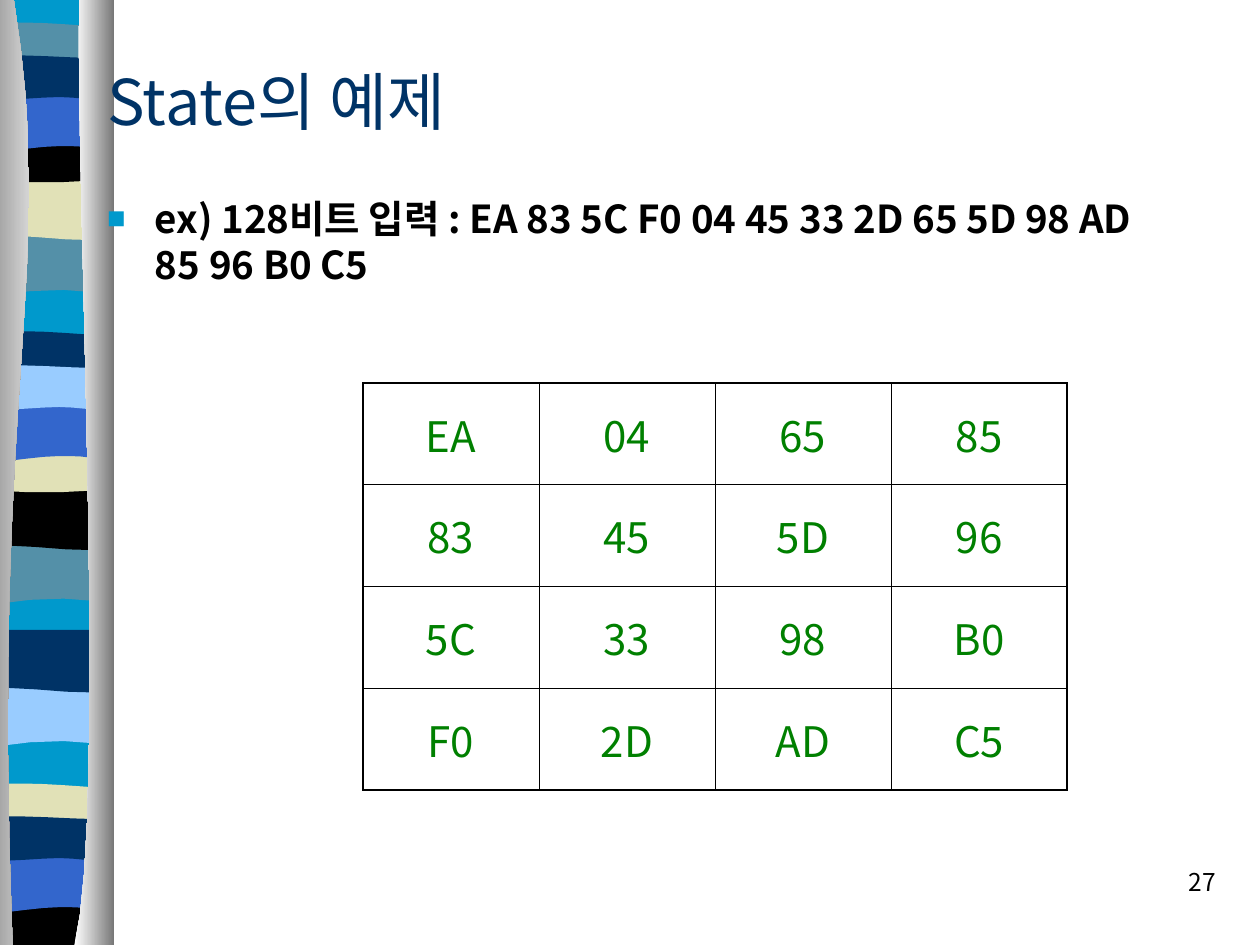
from lxml import etree
from pptx import Presentation
from pptx import util as u
from pptx.dml.color import RGBColor
from pptx.enum import text
from pptx.oxml import ns

WIDTH, HEIGHT = 10, 7.5
FONT = "Noto Sans CJK KR"
CYAN = RGBColor(0x00, 0x99, 0xCC)
TEAL = RGBColor(0x54, 0x90, 0xA8)
SAND = RGBColor(0xE1, 0xE1, 0xB7)
BLACK = RGBColor(0x00, 0x00, 0x00)
BLUE = RGBColor(0x33, 0x66, 0xCC)
NAVY = RGBColor(0x00, 0x33, 0x66)
SKY = RGBColor(0x99, 0xCC, 0xFF)
GREEN = RGBColor(0x00, 0x80, 0x00)
GREY = RGBColor(0x76, 0x76, 0x76)
PALE = RGBColor(0xD4, 0xD4, 0xD4)
WHITE = RGBColor(0xFF, 0xFF, 0xFF)

# Outlines: pairs are corners, six numbers are a cubic curve.
# Band outlines are measured from the band's upper right corner level.
L, R = -0.19, 0.89
SHEET = [(R, 0), (R, 7.48), (L, 7.48), (L, 0)]
DIP = [(R, 0), (R, 0.47), (0.14, 0.38, -0.01, 0.54, L, 0.47), (L, 0)]
SLOPE = [(R, 0), (R, 0.47), (0.71, 0.55, 0.14, 0.42, L, 0.47), (L, 0)]
CREST = [(R, 0), (R, 0.24), (0.71, 0.28, -0.01, 0.28, L, 0.24), (L, 0),
         (-0.13, -0.05, 0.04, -0.04, 0.22, -0.04), (0.4, -0.04, 0.75, -0.01, R, 0)]
BOWL = [(R, 0), (R, 0.33), (0.71, 0.38, -0.01, 0.38, L, 0.33), (L, 0),
        (0.47, 0.05, 0.66, 0, R, 0)]
FOOT = [(R, 0), (R, 0.38), (L, 0.38), (L, 0), (0.47, 0.05, 0.66, 0, R, 0)]
ARCH = [(R, 0), (R, 0.47), (0.72, 0.41, 0.65, 0.41, 0.47, 0.41),
        (0.29, 0.41, -0.03, 0.47, L, 0.47), (L, 0)]
SWELL = [(R, 0), (R, 0.31), (0.82, 0.36, 0.65, 0.31, 0.47, 0.31),
         (0.29, 0.31, -0.08, 0.36, L, 0.31), (L, 0), (-0.04, -0.05, 0.54, 0, 0.72, 0)]
LEFT_SHADE = [(0.11, 0), (0.46, 2.17, -0.08, 2.96, 0.1, 7.5), (-0.24, 7.5), (-0.25, 0)]
RIGHT_SHADE = [(0.63, 0), (0.59, 1.25, 0.86, 6.47, 0.59, 7.5), (0.91, 7.5), (0.91, 0)]

# Outline, level, colour, from back to front
BANDS = [
    (SHEET, 0, CYAN),
    (DIP, 1.86, TEAL), (SLOPE, 1.41, SAND), (CREST, 0.22, TEAL),
    (BOWL, 1.08, BLACK), (ARCH, 0.75, BLUE), (SWELL, 0.46, NAVY),
    (DIP, 4.31, TEAL), (SLOPE, 3.87, BLACK), (CREST, 2.67, NAVY),
    (BOWL, 3.54, SAND), (ARCH, 3.21, BLUE), (SWELL, 2.92, SKY),
    (DIP, 5.44, SKY), (SLOPE, 5, NAVY), (CREST, 6.26, SAND),
    (FOOT, 7.12, BLACK), (ARCH, 6.79, BLUE), (SWELL, 6.5, NAVY),
]
INPUT_BYTES = "EA 83 5C F0 04 45 33 2D 65 5D 98 AD 85 96 B0 C5"
SIDE = 4


def trace(outline, level, steps):
    """Turn an outline into points in EMU, sampling its curves."""
    points = []
    for part in outline:
        if len(part) == 2:
            points.append(part)
            continue
        (x0, y0), (x1, y1, x2, y2, x3, y3) = points[-1], part
        for step in range(1, steps + 1):
            t = step / steps
            a, b, c, d = (1 - t) ** 3, 3 * t * (1 - t) ** 2, 3 * t * t * (1 - t), t ** 3
            points.append((a * x0 + b * x1 + c * x2 + d * x3,
                           a * y0 + b * y1 + c * y2 + d * y3))
    return [(u.Inches(x), u.Inches(y + level)) for x, y in points]


def add_outline(slide, outline, level, *colours, steps=5):
    """Fill an outline with one colour, or with two from left to right."""
    start, *others = trace(outline, level, steps)
    builder = slide.shapes.build_freeform(*start)
    builder.add_line_segments(others, close=True)
    piece = builder.convert_to_shape()
    piece.shadow.inherit = False
    piece.line.fill.background()
    if len(colours) == 1:
        piece.fill.solid()
        piece.fill.fore_color.rgb = colours[0]
    else:
        piece.fill.gradient()
        piece.fill.gradient_angle = 0
        for stop, position, colour in zip(piece.fill.gradient_stops, (0, 1), colours):
            stop.position = position
            stop.color.rgb = colour


def write(frame, words, size, colour=BLACK, bold=False, align=text.PP_ALIGN.LEFT):
    frame.word_wrap = True
    paragraph = frame.paragraphs[0]
    paragraph.alignment = align
    paragraph.space_before = u.Pt(0)
    run = paragraph.add_run()
    run.text = words
    run.font.size, run.font.bold, run.font.name = u.Pt(size), bold, FONT
    run.font.color.rgb = colour
    etree.SubElement(run.font._element, ns.qn("a:ea"), typeface=FONT)
    return paragraph


def add_bullet(paragraph):
    props = paragraph._p.get_or_add_pPr()
    props.set("marL", str(u.Inches(0.38)))
    props.set("indent", str(-u.Inches(0.38)))
    colour = etree.SubElement(props, ns.qn("a:buClr"))
    etree.SubElement(colour, ns.qn("a:srgbClr"), val=str(CYAN))
    etree.SubElement(props, ns.qn("a:buSzPct"), val="80000")
    etree.SubElement(props, ns.qn("a:buChar"), char="■")


def place(shape, left, top, width, height):
    shape.left, shape.top = u.Inches(left), u.Inches(top)
    shape.width, shape.height = u.Inches(width), u.Inches(height)
    shape._element.getparent().append(shape._element)  # bring to front


def set_borders(cell, row, column):
    props = cell._tc.get_or_add_tcPr()
    outer = {"lnL": column == 0, "lnR": column == SIDE - 1,
             "lnT": row == 0, "lnB": row == SIDE - 1}
    for index, (tag, is_outer) in enumerate(outer.items()):
        line = etree.Element(ns.qn("a:" + tag), w=str(u.Pt(1.08 if is_outer else 0.45)))
        fill = etree.SubElement(line, ns.qn("a:solidFill"))
        etree.SubElement(fill, ns.qn("a:srgbClr"), val=str(BLACK))
        props.insert(index, line)


def add_state_table(slide):
    """Lay the input bytes out column by column."""
    state = slide.shapes.add_table(SIDE, SIDE, u.Inches(2.88), u.Inches(3.04),
                                   u.Inches(5.59), u.Inches(3.23)).table
    state.first_row = state.horz_banding = False
    for index, byte in enumerate(INPUT_BYTES.split()):
        column, row = divmod(index, SIDE)
        cell = state.cell(row, column)
        cell.fill.background()
        set_borders(cell, row, column)
        write(cell.text_frame, byte, 24, GREEN, align=text.PP_ALIGN.CENTER)
        cell.vertical_anchor = text.MSO_ANCHOR.MIDDLE


def main():
    deck = Presentation()
    deck.slide_width, deck.slide_height = u.Inches(WIDTH), u.Inches(HEIGHT)
    slide = deck.slides.add_slide(deck.slide_layouts[1])
    title, body = slide.placeholders

    # Striped ribbon with shaded edges
    for band in BANDS:
        add_outline(slide, *band)
    add_outline(slide, LEFT_SHADE, 0, GREY, PALE, steps=16)
    add_outline(slide, RIGHT_SHADE, 0, WHITE, GREY, steps=16)

    # Title and example input
    place(title, 0.75, 0.17, 8.5, 1.25)
    write(title.text_frame, "State의 예제", 36, NAVY)
    title.text_frame.vertical_anchor = text.MSO_ANCHOR.MIDDLE
    place(body, 0.75, 1.5, 8.5, 5.08)
    body.text_frame.auto_size = text.MSO_AUTO_SIZE.NONE
    add_bullet(write(body.text_frame, f"ex) 128비트 입력 : {INPUT_BYTES}", 22, bold=True))

    # State matrix and page number
    add_state_table(slide)
    page = slide.shapes.add_textbox(u.Inches(7.67), u.Inches(6.83),
                                    u.Inches(2.08), u.Inches(0.5))
    write(page.text_frame, "27", 14, align=text.PP_ALIGN.RIGHT)
    deck.save("out.pptx")


if __name__ == "__main__":
    main()
